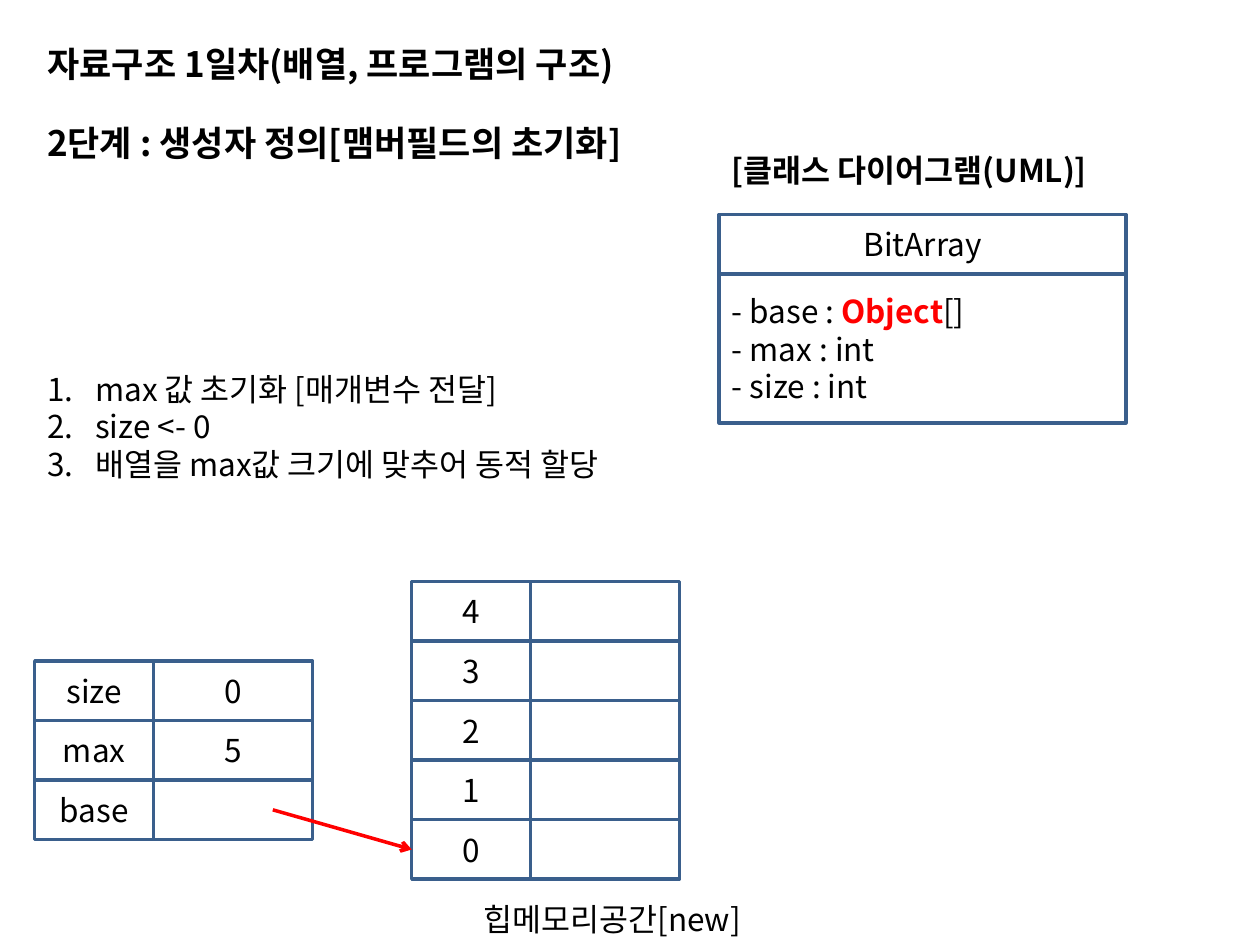
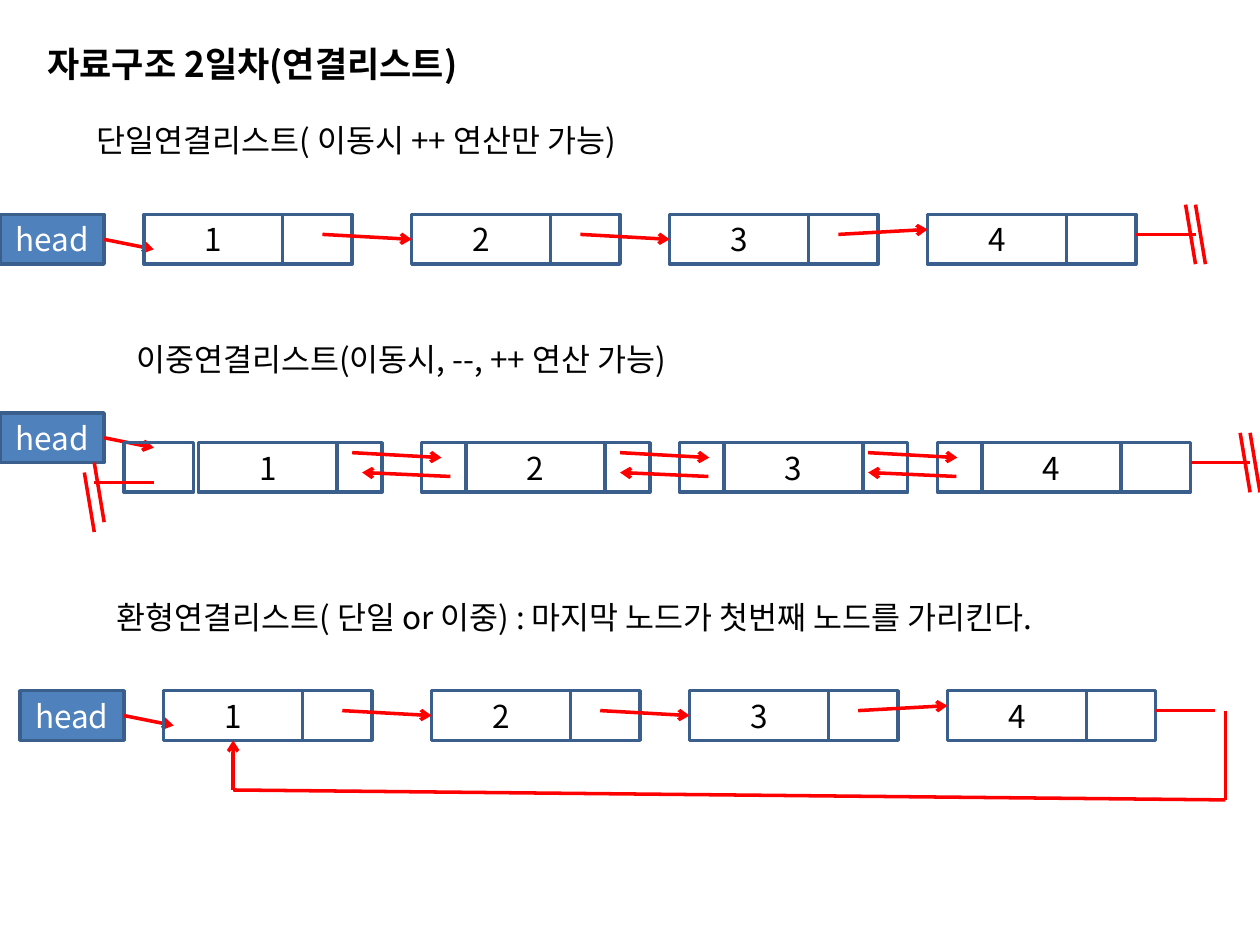
from pptx import Presentation
from pptx.dml.color import RGBColor as RGB
from pptx.enum.shapes import MSO_CONNECTOR as CONN, MSO_SHAPE as SHAPE
from pptx.enum.text import MSO_ANCHOR as ANCHOR, MSO_AUTO_SIZE as FIT, PP_ALIGN as ALIGN
from pptx.oxml.ns import qn
from pptx.util import Inches, Mm, Pt
from lxml.etree import SubElement as Sub

COLORS = {"text": "000000", "accent": "FF0000", "border": "3A5F8C",
          "head": "4F81BD", "paper": "FFFFFF"}
FONT = "Noto Sans CJK KR"
TOP = 0.25
MARGIN = 7
ROW = 12
NODE, LINK, SLOT, NODE_H = 28, 14, 9, 10
HEAD_W = 21


def color(name):
    return RGB.from_string(COLORS[name])


def box(x, y, w, h):
    """Turn millimetres on the page grid into left, top, width and height."""
    return Mm(x), Mm(y + TOP), Mm(w), Mm(h)


def format_runs(tf, size, bold=False, name="text", align=ALIGN.LEFT):
    for p in tf.paragraphs:
        p.alignment = align
        for r in p.runs:
            r.font.name, r.font.size, r.font.bold = FONT, Pt(size), bold
            r.font.color.rgb = color(name)
            Sub(r.font._element, qn("a:ea")).set("typeface", FONT)


def write(sp, at, text, size=18, bold=False):
    sp.left, sp.top, sp.width, sp.height = box(*at)
    tf = sp.text_frame
    tf.word_wrap, tf.auto_size = True, FIT.NONE
    tf.vertical_anchor = ANCHOR.TOP
    tf.text = text
    format_runs(tf, size, bold)
    return tf


def add_label(slide, x, y, w, text, size=18, bold=False):
    at = (x, y, w, 11 if size > 18 else 10)
    write(slide.shapes.add_textbox(*box(*at)), at, text, size, bold)


def add_cell(slide, x, y, w, h, text="", fill=None, ink="text", align=ALIGN.CENTER):
    sp = slide.shapes.add_shape(SHAPE.RECTANGLE, *box(x, y, w, h))
    sp.shadow.inherit = False
    if fill:
        sp.fill.solid()
        sp.fill.fore_color.rgb = color(fill)
    else:
        sp.fill.background()
    sp.line.color.rgb, sp.line.width = color("border"), Pt(2)
    tf = sp.text_frame
    tf.vertical_anchor = ANCHOR.MIDDLE
    if text:
        tf.text = text
        format_runs(tf, 18, name=ink, align=align)
    return tf


def add_line(slide, x1, y1, x2, y2, arrow=False):
    ln = slide.shapes.add_connector(CONN.STRAIGHT, Mm(x1), Mm(y1 + TOP), Mm(x2), Mm(y2 + TOP))
    ln.line.color.rgb, ln.line.width = color("accent"), Pt(2)
    Sub(ln._element.spPr, qn("a:effectLst"))
    if arrow:
        Sub(ln.line._get_or_add_ln(), qn("a:tailEnd")).set("type", "arrow")


def add_rows(slide, x, y, widths, rows):
    for i, row in enumerate(rows):
        for j, text in enumerate(row):
            add_cell(slide, x + sum(widths[:j]), y + i * ROW, widths[j], ROW, text, "paper")


def add_numbered(sp, at, items):
    tf = write(sp, at, "\n".join(items))
    for p in tf.paragraphs:
        p.space_before = Pt(0)
        pPr = p._p.get_or_add_pPr()
        pPr.set("marL", str(Inches(0.38)))
        pPr.set("indent", str(-Inches(0.38)))
        Sub(pPr, qn("a:buFont")).set("typeface", FONT)
        Sub(pPr, qn("a:buAutoNum")).set("type", "arabicPeriod")


def add_head(slide, x, y):
    add_cell(slide, x, y, HEAD_W, NODE_H, "head", "head", "paper")
    add_line(slide, x + HEAD_W, y + 5, x + HEAD_W + 10, y + 7, True)


def add_slash(slide, x, y):
    add_line(slide, x, y, x + 2, y + 12)


def add_null(slide, x, y):
    """Draw the wire to the right and the two slashes that end a list."""
    add_line(slide, x, y, x + 12, y)
    for dx in (10, 12):
        add_slash(slide, x + dx, y - 6)


def add_single_list(slide, x, y):
    """Draw head and four nodes, leaving the last link open; return its end."""
    add_head(slide, x, y)
    nodes = [x + dx for dx in (29, 83, 135, 187)]
    for i, left in enumerate(nodes, 1):
        add_cell(slide, left, y, NODE, NODE_H, str(i))
        add_cell(slide, left + NODE, y, LINK, NODE_H)
    for left, drop in zip(nodes[1:], (5, 5, 3)):
        add_line(slide, left - 18, y + 4, left, y + drop, True)
    return nodes[-1] + NODE + LINK, y + 4


def add_double_list(slide, y):
    add_head(slide, 0, y - 6)
    for i, left in enumerate((40, 94, 146, 198), 1):
        prev_x, prev_w = (25, LINK) if i == 1 else (left - SLOT, SLOT)
        add_cell(slide, prev_x, y, prev_w, NODE_H)
        add_cell(slide, left, y, NODE, NODE_H, str(i))
        add_cell(slide, left + NODE, y, LINK if i == 4 else SLOT, NODE_H)
    for ahead, back in ((71, 73), (125, 125), (175, 175)):
        add_line(slide, ahead, y + 2, ahead + 18, y + 3, True)
        add_line(slide, back + 17.8, y + 6.8, back, y + 6, True)
    add_null(slide, 240, y + 4)
    add_line(slide, 19, y + 8, 31, y + 8)
    add_slash(slide, 19, y + 4)
    add_slash(slide, 17, y + 6)


def new_slide(prs, layout, title):
    slide = prs.slides.add_slide(prs.slide_layouts[layout])
    write(slide.shapes.title, (MARGIN, 7, 166, 11), title, 20, True)
    return slide


def build_array(prs):
    slide = new_slide(prs, 1, "자료구조 1일차(배열, 프로그램의 구조)")
    add_label(slide, MARGIN, 23, 133, "2단계 : 생성자 정의[맴버필드의 초기화]", 20, True)
    add_numbered(slide.placeholders[1], (MARGIN, 73, 128, 25.6),
                 ["max 값 초기화 [매개변수 전달]", "size <- 0",
                  "배열을 max값 크기에 맞추어 동적 할당"])

    add_label(slide, 145, 29, 82, "[클래스 다이어그램(UML)]", bold=True)
    add_cell(slide, 145, 43, 82, ROW, "BitArray", "paper")
    tf = add_cell(slide, 145, 55, 82, 30, "- base : \n- max : int\n- size : int",
                  "paper", align=ALIGN.LEFT)
    p = tf.paragraphs[0]
    for text, name in (("Object", "accent"), ("[]", "text")):
        r = p.add_run()
        r.text = text
        r.font.name, r.font.size, r.font.bold = FONT, Pt(18), name == "accent"
        r.font.color.rgb = color(name)

    add_rows(slide, 83, 117, (24, 30), [(str(i), "") for i in reversed(range(5))])
    add_rows(slide, MARGIN, 133, (24, 32), [("size", "0"), ("max", "5"), ("base", "")])
    add_line(slide, 55, 163, 83, 171, True)
    add_label(slide, 95, 180, 62, "힙메모리공간[new]")


def build_lists(prs):
    slide = new_slide(prs, 5, "자료구조 2일차(연결리스트)")
    add_label(slide, 17, 23, 123, "단일연결리스트( 이동시 ++ 연산만 가능)")
    add_null(slide, *add_single_list(slide, 0, 43))

    add_label(slide, 25, 67, 125, "이중연결리스트(이동시, --, ++ 연산 가능)")
    add_double_list(slide, 89)

    add_label(slide, 21, 119, 210,
              "환형연결리스트( 단일 or 이중) : 마지막 노드가 첫번째 노드를 가리킨다.")
    x, y = add_single_list(slide, 4, 139)
    add_line(slide, x, y, x + 12, y)
    add_line(slide, x + 14, y, x + 14, y + 18)
    add_line(slide, 47, y + 16, x + 14, y + 18)
    add_line(slide, 47, y + 16, 47, y + 6, True)


def main():
    prs = Presentation()
    prs.slide_width, prs.slide_height = Inches(10), Inches(7.5)
    build_array(prs)
    build_lists(prs)
    prs.save("out.pptx")


main()
